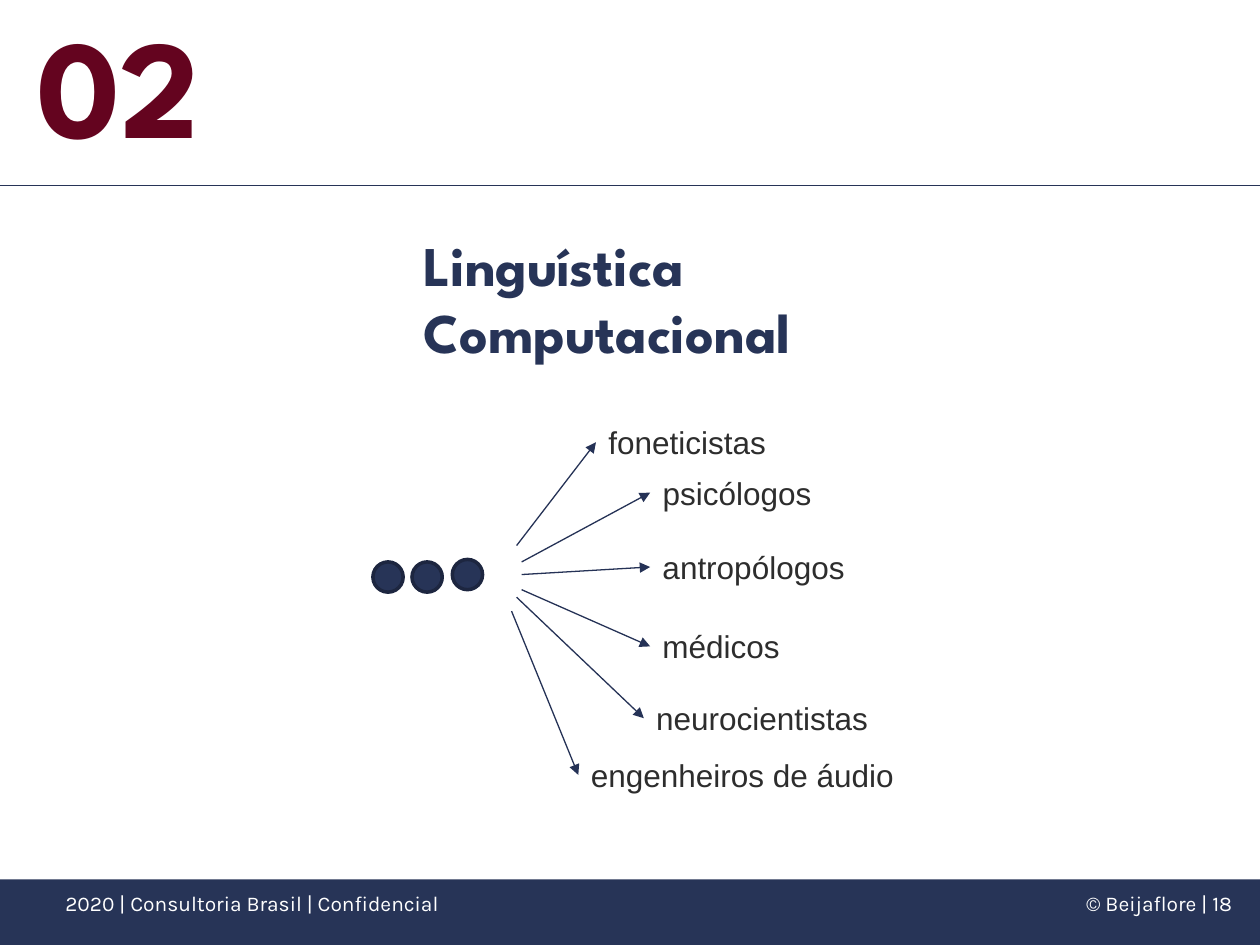
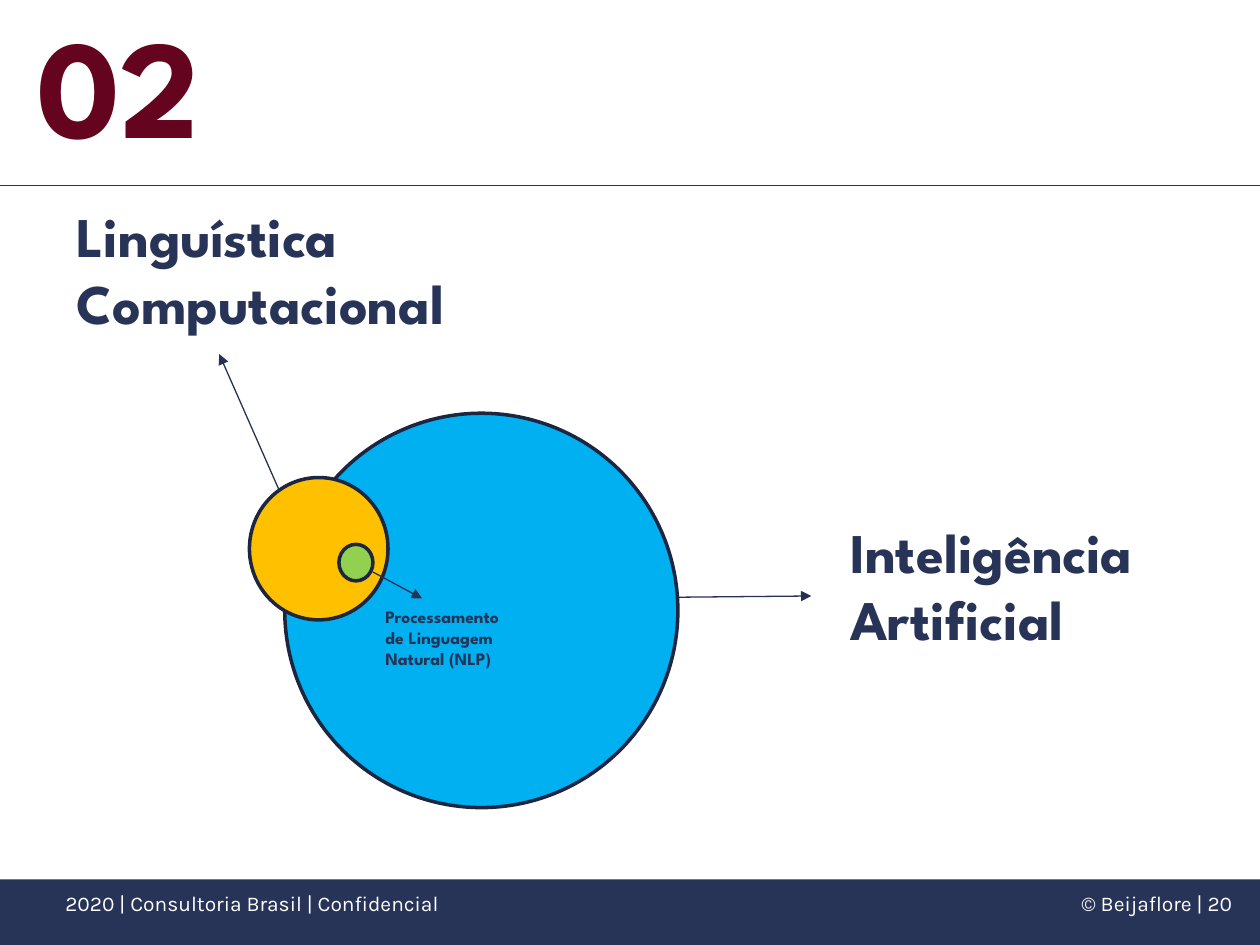
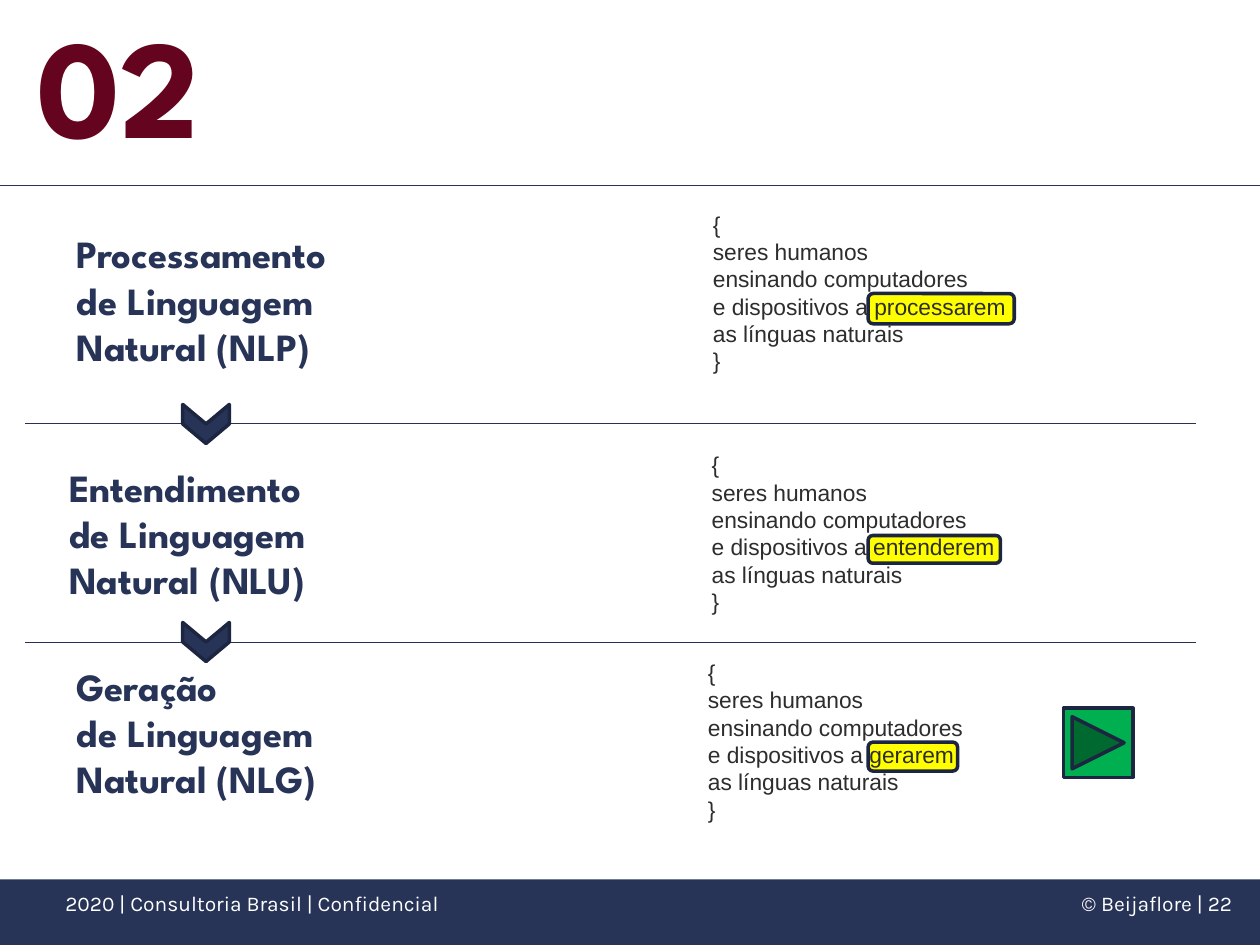
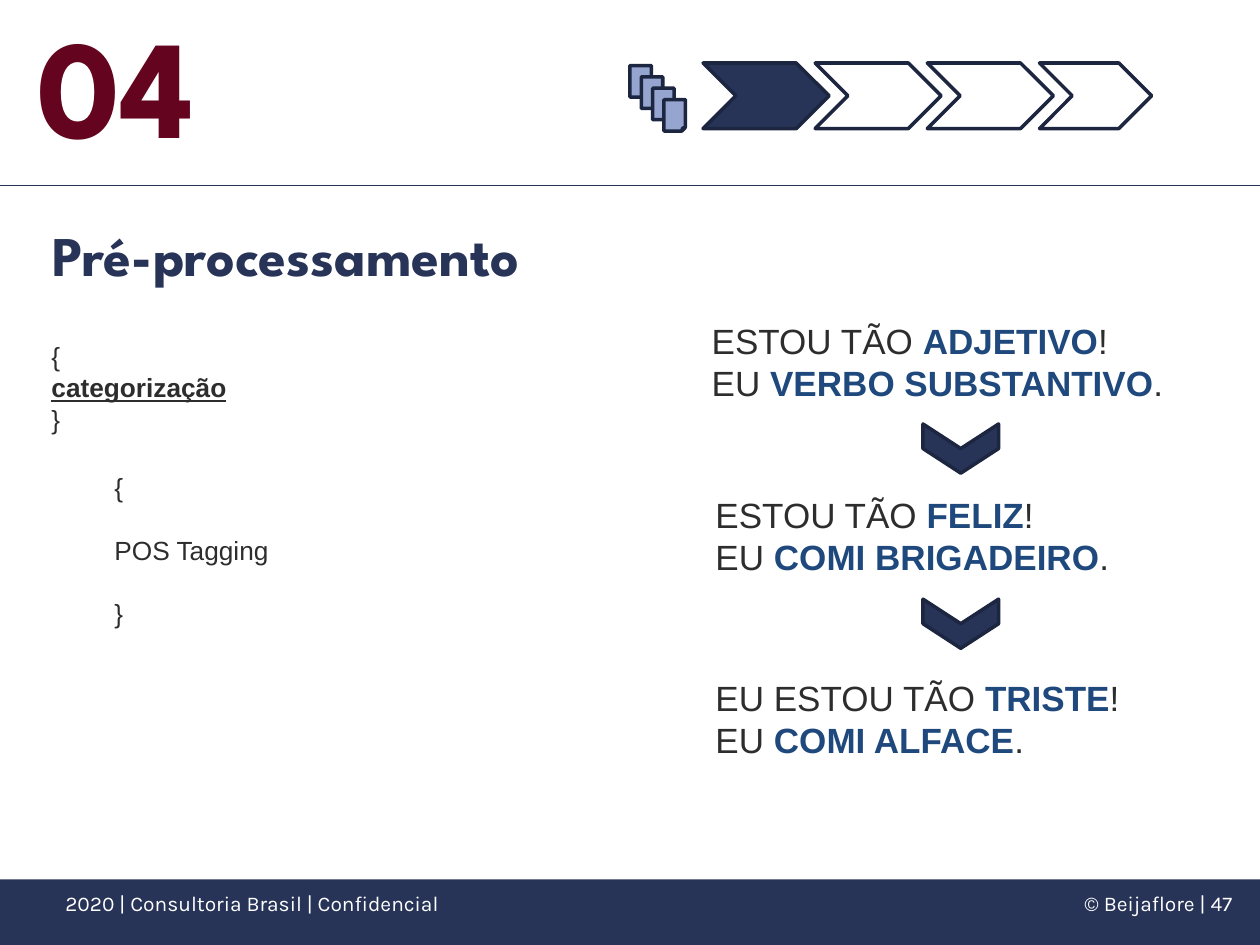
from pptx import Presentation
from pptx.dml.color import RGBColor
from pptx.enum.shapes import MSO_CONNECTOR, MSO_SHAPE
from pptx.enum.text import MSO_ANCHOR, MSO_AUTO_SIZE, PP_ALIGN
from pptx.oxml.ns import qn
from pptx.util import Pt
from lxml import etree

PX = 9144  # 100 px to the inch
TITLE_ONLY = 5

STRAIGHT = MSO_CONNECTOR.STRAIGHT
RECTANGLE = MSO_SHAPE.RECTANGLE
ROUNDED = MSO_SHAPE.ROUNDED_RECTANGLE
ELLIPSE = MSO_SHAPE.OVAL
CHEVRON = MSO_SHAPE.CHEVRON
FOLDED_PAGE = MSO_SHAPE.FOLDED_CORNER
NEXT_BUTTON = MSO_SHAPE.ACTION_BUTTON_FORWARD_OR_NEXT
LEFT, RIGHT = PP_ALIGN.LEFT, PP_ALIGN.RIGHT
TOP, BOTTOM = MSO_ANCHOR.TOP, MSO_ANCHOR.BOTTOM
FIT_SHAPE, FIXED = MSO_AUTO_SIZE.SHAPE_TO_FIT_TEXT, MSO_AUTO_SIZE.NONE
LEFT_SIDE = 1

COLORS = {
    "navy": "273457",
    "outline": "1D2640",
    "arrow": "253256",
    "wine": "64041F",
    "ink": "2D2D2D",
    "blue": "1F497D",
    "white": "FFFFFF",
    "sky": "00B0F0",
    "amber": "FFC000",
    "lime": "92D050",
    "yellow": "FFFF00",
    "green": "00B050",
    "lavender": "95A5CF",
}


def text_style(name, size, color, bold=False, underline=False):
    return {"color": color, "font": {"name": name, "size": Pt(size), "bold": bold,
                                     "underline": underline}}


STYLES = {
    "number": text_style("League Spartan", 80, "wine", bold=True),
    "heading": text_style("League Spartan", 32, "navy", bold=True),
    "subheading": text_style("League Spartan", 22, "navy", bold=True),
    "caption": text_style("League Spartan", 10, "navy", bold=True),
    "footer": text_style("Karla", 12, "white"),
    "label": text_style("Arial", 18, "ink"),
    "definition": text_style("Arial", 13, "ink"),
    "topic": text_style("Arial", 15, "ink"),
    "topic key": text_style("Arial", 15, "ink", bold=True, underline=True),
    "phrase": text_style("Arial", 20, "ink"),
    "phrase key": text_style("Arial", 20, "blue", bold=True),
}


def rgb(color):
    return RGBColor.from_string(COLORS[color])


def emu(*lengths):
    return [length * PX for length in lengths]


def write(box, paragraphs, style, align=LEFT, gap=0, **frame_format):
    """Fill a box; a paragraph is a string or a list of (text, style) spans."""
    frame = box.text_frame
    for name, value in frame_format.items():
        setattr(frame, name, value)
    for index, content in enumerate(paragraphs):
        para = frame.add_paragraph() if index else frame.paragraphs[0]
        para.alignment = align
        para.space_before = Pt(gap if index else 0)
        spans = [(content, style)] if isinstance(content, str) else content
        for text, span_style in spans:
            span = para.add_run()
            span.text = text
            for name, value in STYLES[span_style]["font"].items():
                setattr(span.font, name, value)
            span.font.color.rgb = rgb(STYLES[span_style]["color"])


def add_text(slide, at, paragraphs, style, wrap=True, auto_size=FIT_SHAPE, **options):
    box = slide.shapes.add_textbox(*emu(*at))
    write(box, paragraphs, style, word_wrap=wrap, auto_size=auto_size, **options)
    return box


def add_shape(slide, kind, at, fill, line="outline", rotation=0):
    shape = slide.shapes.add_shape(kind, *emu(*at))
    shape.shadow.inherit = False
    shape.rotation = rotation
    if fill:
        shape.fill.solid()
        shape.fill.fore_color.rgb = rgb(fill)
    else:
        shape.fill.background()
    if line:
        shape.line.color.rgb = rgb(line)
        shape.line.width = Pt(2)
    else:
        shape.line.fill.background()
    return shape


def add_line(slide, start, end, color="arrow", arrow=False):
    line = slide.shapes.add_connector(STRAIGHT, *emu(*start, *end))
    line.line.color.rgb = rgb(color)
    line.line.width = Pt(0.75)
    if arrow:
        etree.SubElement(line.line._get_or_add_ln(), qn("a:tailEnd"), type="triangle")
    etree.SubElement(line.element.spPr, qn("a:effectLst"))
    return line


def add_down_chevron(slide, at):
    add_shape(slide, CHEVRON, at, "navy", rotation=90)


def add_slide(deck, number, page):
    slide = deck.slides.add_slide(deck.slide_layouts[TITLE_ONLY])
    title = slide.shapes.title
    title.left, title.top, title.width, title.height = emu(20, -11, 194, 148)
    write(title, [number], "number", vertical_anchor=BOTTOM, auto_size=FIXED,
          word_wrap=True, margin_top=8 * PX, margin_bottom=5 * PX)
    footers = [
        ((755, 695, 233, 40), f"© Beijaflore | {page}", RIGHT),
        ((42, 695, 465, 40), "2020 | Consultoria Brasil | Confidencial", LEFT),
    ]
    for at, text, align in footers:
        add_text(slide, at, [text], "footer", align=align, auto_size=FIXED,
                 vertical_anchor=TOP, margin_top=12 * PX)
    return slide


def add_layout_band(deck, slide):
    """Draw the footer band and header rule, then hand them to the shared layout."""
    band = add_shape(slide, RECTANGLE, (-4, 698, 1008, 55), "navy", line=None)
    rule = add_line(slide, (-4, 147), (1000, 147), "navy")
    for part in (band, rule):
        deck.slide_layouts[TITLE_ONLY].shapes.element.append(part.element)


def fill_professions(slide):
    add_text(slide, (326, 178, 363, 118), ["Linguística", "Computacional"], "heading")
    for left, top in ((296, 446), (327, 446), (359, 444)):
        add_shape(slide, ELLIPSE, (left, top, 24, 24), "navy")
    professions = [
        ("foneticistas", (473, 331, 146), (410, 433), False),
        ("psicólogos", (516, 371, 139), (414, 446), False),
        ("antropólogos", (516, 430, 166), (414, 456), False),
        ("médicos", (516, 493, 114), (414, 468), False),
        ("neurocientistas", (511, 550, 190), (410, 474), False),
        ("engenheiros de áudio", (459, 595, 269), (406, 485), True),
    ]
    for name, (left, top, width), start, wrap in professions:
        label = add_text(slide, (left, top, width, 40), [name], "label", wrap=wrap)
        arrow = add_line(slide, start, (left, top + 20), arrow=True)
        arrow.end_connect(label, LEFT_SIDE)


def fill_fields(slide):
    circles = [
        ((226, 328, 312, 313), "sky"),
        ((198, 379, 110, 113), "amber"),
        ((269, 432, 27, 29), "lime"),
    ]
    for at, fill in circles:
        add_shape(slide, ELLIPSE, at, fill)
    names = [
        ((51, 155, 363, 118), ["Linguística", "Computacional"], "heading"),
        ((665, 406, 283, 118), ["Inteligência", "Artificial"], "heading"),
        ((296, 476, 131, 61), ["Processamento", "de Linguagem", "Natural (NLP)"], "caption"),
    ]
    for at, lines, style in names:
        add_text(slide, at, lines, style)
    for start, end in (((222, 390), (174, 281)), ((539, 474), (644, 473)),
                       ((296, 454), (335, 475))):
        add_line(slide, start, end, arrow=True)


def fill_definitions(slide):
    definitions = [
        ("Processamento", "NLP", (51, 178), "processarem", (556, 162, 256), (233, 116, 24)),
        ("Entendimento", "NLU", (45, 363), "entenderem", (555, 353, 248), (425, 105, 22)),
        ("Geração", "NLG", (51, 521), "gerarem", (552, 518, 231), (589, 71, 23)),
    ]
    for name, acronym, (left, top), verb, definition_at, (mark_top, *mark_size) in definitions:
        add_shape(slide, ROUNDED, (689, mark_top, *mark_size), "yellow")
        add_text(slide, (left, top, 359, 121),
                 [name, "de Linguagem", f"Natural ({acronym})"], "subheading")
        add_text(slide, (*definition_at, 167),
                 ["{", "seres humanos", "ensinando computadores",
                  f"e dispositivos a {verb}", "as línguas naturais", "}"],
                 "definition", wrap=False)
    for rule_top, chevron_top in ((336, 318), (510, 491)):
        add_line(slide, (20, rule_top), (949, rule_top))
        add_down_chevron(slide, (148, chevron_top, 31, 37))
    add_shape(slide, NEXT_BUTTON, (844, 562, 55, 55), "green")


def fill_preprocessing(slide):
    for step, fill in enumerate(["navy", None, "white", "white"]):
        width = 89 if step == 3 else 100
        add_shape(slide, CHEVRON, (558 + 89 * step, 50, width, 52), fill)
    for step in range(4):
        add_shape(slide, FOLDED_PAGE, (500 + 9 * step, 52 + 9 * step, 17, 25), "lavender")

    add_text(slide, (32, 170, 460, 64), ["Pré-processamento"], "heading")
    add_text(slide, (31, 265, 161, 111), ["{", [("categorização", "topic key")], "}"],
             "topic", wrap=False)
    add_text(slide, (81, 369, 144, 162), ["{", "POS Tagging", "}"], "topic",
             wrap=False, gap=18)

    examples = [
        ((555, 249, 386, 77), "ESTOU TÃO ", "ADJETIVO", "VERBO SUBSTANTIVO"),
        ((558, 387, 339, 77), "ESTOU TÃO ", "FELIZ", "COMI BRIGADEIRO"),
        ((558, 532, 365, 77), "EU ESTOU TÃO ", "TRISTE", "COMI ALFACE"),
    ]
    for at, opening, adjective, action in examples:
        add_text(slide, at, [
            [(opening, "phrase"), (adjective, "phrase key"), ("!", "phrase")],
            [("EU ", "phrase"), (action, "phrase key"), (".", "phrase")],
        ], "phrase")
    for top in (326, 465):
        add_down_chevron(slide, (743, top, 39, 60))


def main():
    deck = Presentation()
    deck.slide_width, deck.slide_height = emu(1000, 750)
    pages = [
        ("02", 18, fill_professions),
        ("02", 20, fill_fields),
        ("02", 22, fill_definitions),
        ("04", 47, fill_preprocessing),
    ]
    for number, page, fill_content in pages:
        fill_content(add_slide(deck, number, page))
    add_layout_band(deck, deck.slides[0])
    deck.save("out.pptx")


if __name__ == "__main__":
    main()
